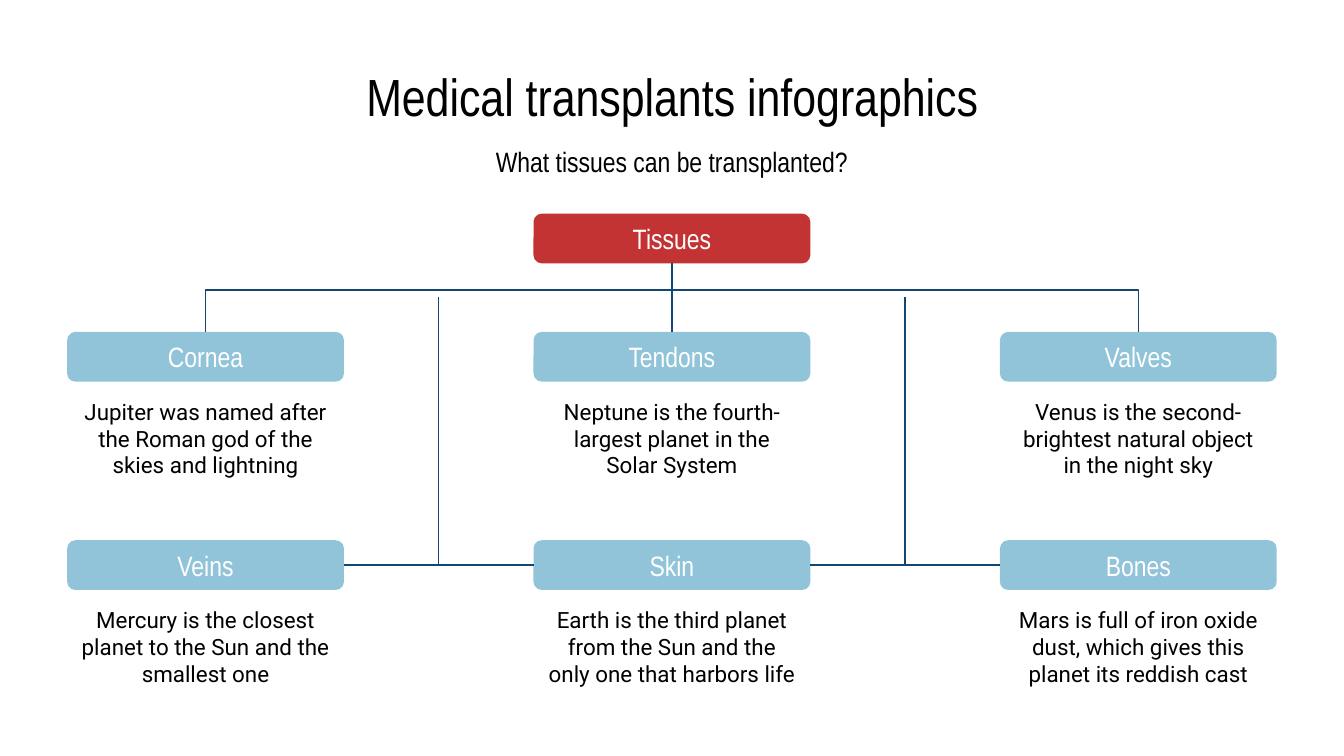
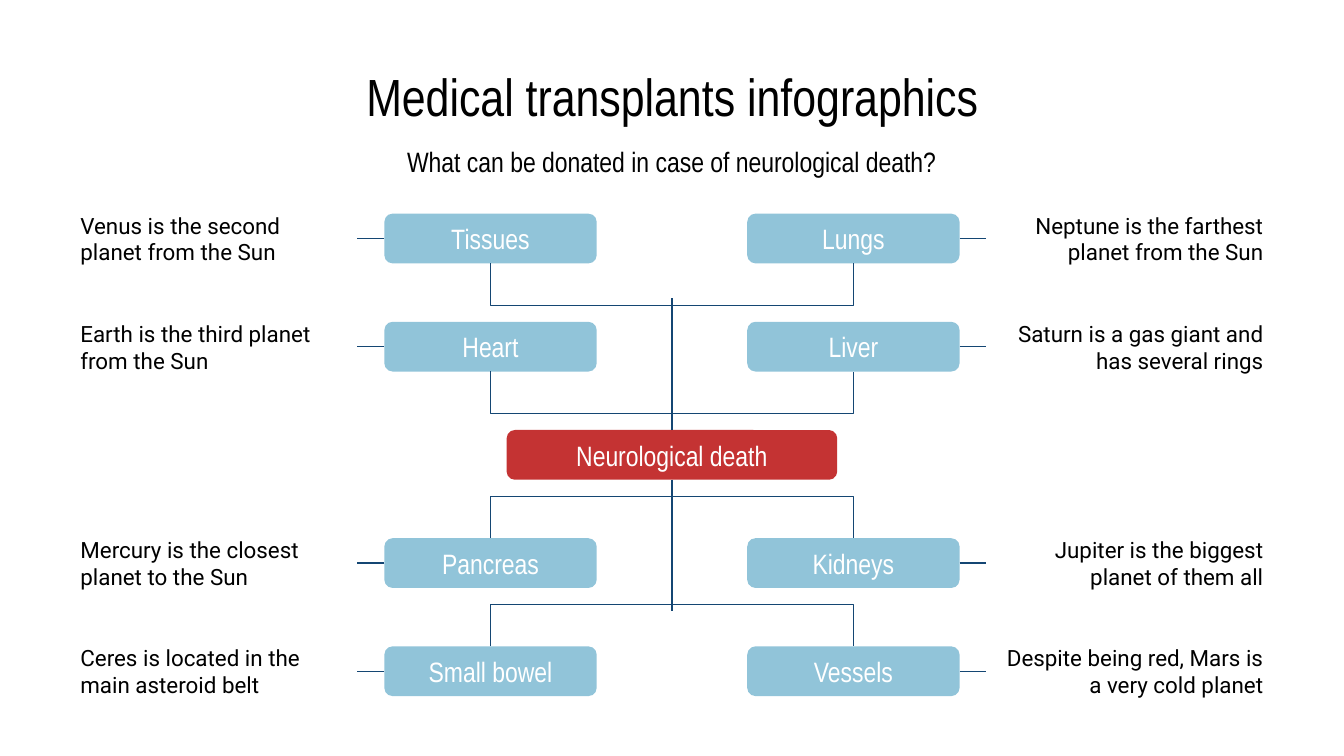
from dataclasses import dataclass

from lxml import etree
from pptx import Presentation
from pptx.dml.color import RGBColor
from pptx.enum.shapes import MSO_CONNECTOR, MSO_SHAPE
from pptx.enum.text import MSO_ANCHOR, MSO_AUTO_SIZE, PP_ALIGN
from pptx.oxml.ns import qn
from pptx.shapes.autoshape import Shape
from pptx.shapes.connector import Connector
from pptx.slide import Slide
from pptx.util import Emu, Pt

LEFT, CENTER, RIGHT = PP_ALIGN.LEFT, PP_ALIGN.CENTER, PP_ALIGN.RIGHT
TOP_ANCHOR, MIDDLE_ANCHOR = MSO_ANCHOR.TOP, MSO_ANCHOR.MIDDLE
ROUNDED = MSO_SHAPE.ROUNDED_RECTANGLE
STRAIGHT, ELBOW = MSO_CONNECTOR.STRAIGHT, MSO_CONNECTOR.ELBOW
SITE_TOP, SITE_LEFT, SITE_BOTTOM, SITE_RIGHT = range(4)

# Lengths are px, 200 to the inch
EMU_PER_PX = 4572
SLIDE_WIDTH, SLIDE_HEIGHT = 2000, 1125
MIDDLE_X = SLIDE_WIDTH // 2
MARGIN = 100
LABEL_HEIGHT = 74
FIRST_ROW = 318
BRACKET_DROP = 52
BRACKET_BASE = 600  # EMU: near-zero depth that the elbow adjustment multiplies


@dataclass(frozen=True)
class Theme:
    ink: RGBColor = RGBColor(0x00, 0x00, 0x00)
    white: RGBColor = RGBColor(0xFF, 0xFF, 0xFF)
    root: RGBColor = RGBColor(0xC4, 0x33, 0x33)
    branch: RGBColor = RGBColor(0x91, 0xC4, 0xD9)
    line: RGBColor = RGBColor(0x14, 0x46, 0x73)
    heading_font: str = "Arial Narrow"
    body_font: str = "Roboto"
    title_size: int = 28
    label_size: int = 15
    body_size: int = 12
    line_width: float = 0.75


@dataclass(frozen=True)
class Box:
    left: int
    top: int
    width: int
    height: int

    @property
    def center_x(self) -> int:
        return self.left + self.width // 2

    def emu(self) -> tuple[Emu, ...]:
        return tuple(px(value) for value in (self.left, self.top, self.width, self.height))


@dataclass(frozen=True)
class Item:
    name: str
    description: str


THEME = Theme()
TITLE = "Medical transplants infographics"
TITLE_BOX = Box(MARGIN, 90, 1800, 106)
SUBTITLE_BOX = Box(MARGIN, 200, 1800, 80)

TISSUE_ROWS = (
    (
        Item("Cornea", "Jupiter was named after the Roman god of the skies and lightning"),
        Item("Tendons", "Neptune is the fourth-largest planet in the Solar System"),
        Item("Valves", "Venus is the second-brightest natural object in the night sky"),
    ),
    (
        Item("Veins", "Mercury is the closest planet to the Sun and the smallest one"),
        Item("Skin", "Earth is the third planet from the Sun and the only one that harbors life"),
        Item("Bones", "Mars is full of iron oxide dust, which gives this planet its reddish cast"),
    ),
)

# Row number (the root takes row 2) and its left and right items
DONATION_ROWS = {
    0: (
        Item("Tissues", "Venus is the second planet from the Sun"),
        Item("Lungs", "Neptune is the farthest planet from the Sun"),
    ),
    1: (
        Item("Heart", "Earth is the third planet from the Sun"),
        Item("Liver", "Saturn is a gas giant and has several rings"),
    ),
    3: (
        Item("Pancreas", "Mercury is the closest planet to the Sun"),
        Item("Kidneys", "Jupiter is the biggest planet of them all"),
    ),
    4: (
        Item("Small bowel", "Ceres is located in the main asteroid belt"),
        Item("Vessels", "Despite being red, Mars is a very cold planet"),
    ),
}


def px(value: int) -> Emu:
    return Emu(value * EMU_PER_PX)


# Text and boxes
def write_text(
    shape: Shape,
    text: str,
    *,
    size: int = THEME.label_size,
    font: str = THEME.heading_font,
    color: RGBColor = THEME.ink,
    align: PP_ALIGN = CENTER,
    anchor: MSO_ANCHOR = MIDDLE_ANCHOR,
    inset_top: int = 20,
) -> None:
    frame = shape.text_frame
    frame.word_wrap = True
    frame.auto_size = MSO_AUTO_SIZE.NONE
    frame.vertical_anchor = anchor
    frame.margin_left = frame.margin_right = frame.margin_bottom = px(20)
    frame.margin_top = px(inset_top)
    paragraph = frame.paragraphs[0]
    paragraph.alignment = align
    run = paragraph.add_run()
    run.text = text
    run.font.size = Pt(size)
    run.font.name = font
    run.font.color.rgb = color


def add_label(slide: Slide, text: str, box: Box, fill: RGBColor = THEME.branch) -> Shape:
    shape = slide.shapes.add_shape(ROUNDED, *box.emu())
    shape.shadow.inherit = False
    shape.fill.solid()
    shape.fill.fore_color.rgb = fill
    shape.line.fill.background()
    write_text(shape, text, color=THEME.white)
    return shape


def add_description(slide: Slide, text: str, box: Box, align: PP_ALIGN = CENTER) -> Shape:
    shape = slide.shapes.add_textbox(*box.emu())
    write_text(shape, text, size=THEME.body_size, font=THEME.body_font,
               align=align, anchor=TOP_ANCHOR, inset_top=4)
    return shape


# Lines
def style_line(connector: Connector) -> None:
    connector.line.color.rgb = THEME.line
    connector.line.width = Pt(THEME.line_width)
    etree.SubElement(connector._element.spPr, qn("a:effectLst"))


def add_line(slide: Slide, start: tuple[int, int], end: tuple[int, int]) -> Connector:
    points = [px(value) for value in (*start, *end)]
    connector = slide.shapes.add_connector(STRAIGHT, *points)
    style_line(connector)
    return connector


def join(slide: Slide, first: Shape, first_site: int, second: Shape, second_site: int) -> None:
    connector = add_line(slide, (0, 0), (0, 0))
    connector.begin_connect(first, first_site)
    connector.end_connect(second, second_site)


def add_bracket(slide: Slide, first: Shape, second: Shape, site: int) -> None:
    """Link two labels of a row by an elbow above (top site) or below (bottom site)."""
    connector = slide.shapes.add_connector(ELBOW, 0, 0, 0, 0)
    connector.begin_connect(first, site)
    connector.end_connect(second, site)

    # The elbow is a tall, thin box turned onto its side
    start = first.left + first.width // 2
    end = second.left + second.width // 2
    edge = first.top + (first.height if site == SITE_BOTTOM else 0)
    span = end - start
    connector.left = Emu((start + end - BRACKET_BASE) // 2)
    connector.top = Emu(edge - span // 2)
    connector.width, connector.height = Emu(BRACKET_BASE), Emu(span)
    properties = connector._element.spPr
    transform = properties.find(qn("a:xfrm"))
    transform.attrib.pop("flipV", None)
    transform.set("rot", str(270 * 60000))
    transform.set("flipH", "1")

    direction = 1 if site == SITE_BOTTOM else -1
    adjustment = direction * px(BRACKET_DROP) * 100000 // BRACKET_BASE
    geometry = properties.find(qn("a:prstGeom"))
    guides = geometry.find(qn("a:avLst"))
    if guides is None:
        guides = etree.SubElement(geometry, qn("a:avLst"))
    etree.SubElement(guides, qn("a:gd"), name="adj1", fmla=f"val {adjustment}")
    style_line(connector)


# Slides
def add_titled_slide(presentation: Presentation, subtitle: str) -> Slide:
    slide = presentation.slides.add_slide(presentation.slide_layouts[5])
    title = slide.shapes.title
    title.left, title.top, title.width, title.height = TITLE_BOX.emu()
    write_text(title, TITLE, size=THEME.title_size)
    write_text(slide.shapes.add_textbox(*SUBTITLE_BOX.emu()), subtitle)
    return slide


def build_tissues(presentation: Presentation) -> None:
    slide = add_titled_slide(presentation, "What tissues can be transplanted?")
    width, column_step = 412, 694
    first_top, row_step = 494, 310
    root_box = Box(MIDDLE_X - width // 2, FIRST_ROW, width, LABEL_HEIGHT)
    root = add_label(slide, "Tissues", root_box, THEME.root)

    # Grid of labels with descriptions
    rows: list[list[Shape]] = []
    for row, items in enumerate(TISSUE_ROWS):
        labels = []
        for column, item in enumerate(items):
            left, top = MARGIN + column * column_step, first_top + row * row_step
            labels.append(add_label(slide, item.name, Box(left, top, width, LABEL_HEIGHT)))
            add_description(slide, item.description, Box(left, top + 94, width, 138))
        rows.append(labels)

    # Tree lines
    upper, lower = rows
    add_bracket(slide, upper[0], upper[-1], SITE_TOP)
    join(slide, root, SITE_BOTTOM, upper[1], SITE_TOP)
    lower_middle = first_top + row_step + LABEL_HEIGHT // 2
    for column, (label, neighbor) in enumerate(zip(lower, lower[1:])):
        join(slide, label, SITE_RIGHT, neighbor, SITE_LEFT)
        gap_x = MARGIN + column * column_step + (width + column_step) // 2
        add_line(slide, (gap_x, first_top - BRACKET_DROP), (gap_x, lower_middle))


def build_donations(presentation: Presentation) -> None:
    slide = add_titled_slide(presentation, "What can be donated in case of neurological death?")
    row_step, root_row, root_width = 161, 2, 492
    label_width, label_lefts = 316, (572, 1112)
    text_width, text_lefts = 432, (MARGIN, 1468)
    text_aligns = (LEFT, RIGHT)
    outer_sites = ((SITE_LEFT, SITE_RIGHT), (SITE_RIGHT, SITE_LEFT))

    root_top = FIRST_ROW + root_row * row_step
    root_box = Box(MIDDLE_X - root_width // 2, root_top, root_width, LABEL_HEIGHT)
    root = add_label(slide, "Neurological death", root_box, THEME.root)

    # Pairs of labels, each tied to its description and to its partner
    for row, items in DONATION_ROWS.items():
        top = FIRST_ROW + row * row_step
        labels = []
        for side, item in enumerate(items):
            label_box = Box(label_lefts[side], top, label_width, LABEL_HEIGHT)
            label = add_label(slide, item.name, label_box)
            text_box = Box(text_lefts[side], top - 7, text_width, 88)
            text = add_description(slide, item.description, text_box, text_aligns[side])
            label_site, text_site = outer_sites[side]
            join(slide, label, label_site, text, text_site)
            labels.append(label)
        add_bracket(slide, *labels, SITE_BOTTOM if row < root_row else SITE_TOP)

    # Trunk from the root to the outermost brackets
    upper_end = FIRST_ROW + LABEL_HEIGHT + BRACKET_DROP
    lower_end = FIRST_ROW + max(DONATION_ROWS) * row_step - BRACKET_DROP
    for site, start, end in ((SITE_TOP, root_top, upper_end),
                             (SITE_BOTTOM, root_top + LABEL_HEIGHT, lower_end)):
        trunk = add_line(slide, (root_box.center_x, start), (root_box.center_x, end))
        trunk.begin_connect(root, site)


def main() -> None:
    presentation = Presentation()
    presentation.slide_width, presentation.slide_height = px(SLIDE_WIDTH), px(SLIDE_HEIGHT)
    build_tissues(presentation)
    build_donations(presentation)
    presentation.save("out.pptx")


if __name__ == "__main__":
    main()
